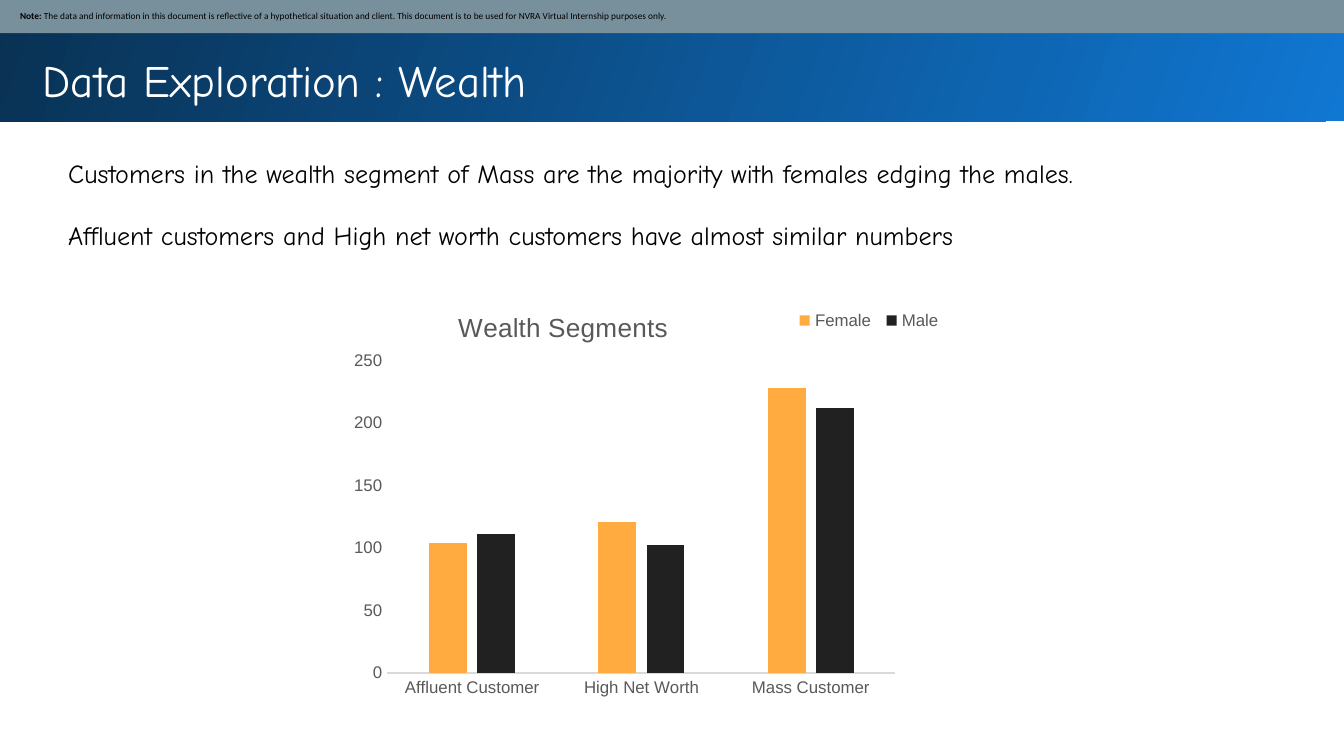
from dataclasses import dataclass

from lxml.etree import SubElement
from pptx import Presentation
from pptx.chart.data import CategoryChartData
from pptx.dml.color import RGBColor
from pptx.enum.chart import XL_CHART_TYPE, XL_LEGEND_POSITION, XL_TICK_MARK
from pptx.enum.shapes import MSO_SHAPE
from pptx.enum.text import MSO_ANCHOR, PP_ALIGN
from pptx.oxml.ns import qn
from pptx.util import Cm, Pt


@dataclass(frozen=True)
class Theme:
    white: str = "FFFFFF"
    black: str = "000000"
    bright_blue: str = "1077D2"
    dark_blue: str = "093153"
    slate: str = "78909C"
    gray: str = "595959"
    axis_gray: str = "D9D9D9"
    series: tuple = ("FFAB40", "212121")
    heading_font: str = "Comic Neue"
    note_font: str = "Calibri"
    chart_font: str = "Arial"
    heading_size: float = 24
    body_size: float = 14
    chart_title_size: float = 14
    label_size: float = 9
    note_size: float = 5


def apply(target, values):
    for name, value in values.items():
        setattr(target, name, value)


def set_font(font, name, size, color, bold=False):
    apply(font, {"name": name, "size": Pt(size), "bold": bold})
    font.color.rgb = RGBColor.from_string(color)


def set_layout(parent, index, inner=False, **fractions):
    """Place a chart part by fractions of the chart's width and height."""
    for old in parent.findall(qn("c:layout")):
        parent.remove(old)
    layout = SubElement(parent, qn("c:layout"))
    parent.insert(index, layout)
    manual = SubElement(layout, qn("c:manualLayout"))
    settings = {"layoutTarget": "inner"} if inner else {}
    settings.update(xMode="edge", yMode="edge", **fractions)
    for name, value in settings.items():
        SubElement(manual, qn(f"c:{name}")).set("val", str(value))


class SlideBuilder:
    def __init__(self, slide, theme):
        self.slide = slide
        self.theme = theme

    def band(self, box):
        shape = self.slide.shapes.add_shape(MSO_SHAPE.RECTANGLE, *map(Cm, box))
        shape.shadow.inherit = False
        shape.line.fill.background()
        return shape

    def gradient_band(self, box, colors, angle):
        fill = self.band(box).fill
        fill.gradient()
        fill.gradient_angle = angle
        for stop, color in zip(fill.gradient_stops, colors):
            stop.color.rgb = RGBColor.from_string(color)

    def note_band(self, box, label, text):
        shape = self.band(box)
        shape.fill.solid()
        shape.fill.fore_color.rgb = RGBColor.from_string(self.theme.slate)
        frame = shape.text_frame
        apply(frame, {
            "word_wrap": True, "vertical_anchor": MSO_ANCHOR.MIDDLE,
            "margin_left": Cm(0.41), "margin_right": Cm(0.13),
            "margin_top": Cm(0.13), "margin_bottom": Cm(0.13),
        })
        paragraph = frame.paragraphs[0]
        paragraph.alignment = PP_ALIGN.LEFT
        for content, bold in ((label, True), (text, False)):
            run = paragraph.add_run()
            run.text = content
            set_font(run.font, self.theme.note_font, self.theme.note_size,
                     self.theme.black, bold)

    def text(self, box, lines, size, color, margin_top, gap=0):
        frame = self.slide.shapes.add_textbox(*map(Cm, box)).text_frame
        apply(frame, {"word_wrap": True, "margin_top": Cm(margin_top)})
        for index, line in enumerate(lines):
            paragraph = frame.add_paragraph() if index else frame.paragraphs[0]
            paragraph.space_before = Pt(gap if index else 0)
            run = paragraph.add_run()
            run.text = line
            set_font(run.font, self.theme.heading_font, size, color)

    def column_chart(self, box, title, categories, series):
        theme = self.theme
        data = CategoryChartData()
        data.categories = categories
        for name, values in series.items():
            data.add_series(name, values)
        chart = self.slide.shapes.add_chart(
            XL_CHART_TYPE.COLUMN_CLUSTERED, *map(Cm, box), data).chart
        set_font(chart.font, theme.chart_font, theme.label_size, theme.gray)

        frame = chart.chart_title.text_frame
        frame.text = title
        set_font(frame.paragraphs[0].runs[0].font, theme.chart_font,
                 theme.chart_title_size, theme.gray)
        chart.has_legend = True
        apply(chart.legend, {"position": XL_LEGEND_POSITION.RIGHT,
                             "include_in_layout": False})

        plot = chart.plots[0]
        apply(plot, {"gap_width": 219, "overlap": -27, "vary_by_categories": False})
        for column, color in zip(plot.series, theme.series):
            column.format.fill.solid()
            column.format.fill.fore_color.rgb = RGBColor.from_string(color)

        ticks = {"major_tick_mark": XL_TICK_MARK.NONE,
                 "minor_tick_mark": XL_TICK_MARK.NONE,
                 "has_major_gridlines": False}
        scale = {"minimum_scale": 0, "maximum_scale": 250, "major_unit": 50}
        apply(chart.category_axis, ticks)
        apply(chart.value_axis, ticks | scale)
        chart.value_axis.format.line.fill.background()
        axis_line = chart.category_axis.format.line
        axis_line.width = Pt(0.75)
        axis_line.color.rgb = RGBColor.from_string(theme.axis_gray)

        plot_area = chart.element.find(".//" + qn("c:plotArea"))
        legend = chart.element.find(".//" + qn("c:legend"))
        title_element = chart.element.find(".//" + qn("c:title"))
        set_layout(title_element, 1, x=0.17, y=0.05)
        set_layout(legend, 1, x=0.68, y=0.05, w=0.24, h=0.07)
        set_layout(plot_area, 0, inner=True, x=0.07, y=0.18, w=0.77, h=0.74)


def main():
    theme = Theme()
    presentation = Presentation()
    apply(presentation, {"slide_width": Cm(25.4), "slide_height": Cm(14.29)})
    slide = presentation.slides.add_slide(presentation.slide_layouts[6])
    builder = SlideBuilder(slide, theme)

    builder.gradient_band((-0.05, -0.05, 25.53, 2.34),
                          (theme.bright_blue, theme.dark_blue), angle=160)
    builder.text((0.56, 0.74, 23.8, 2.11), ["Data Exploration : Wealth"],
                 theme.heading_size, theme.white, margin_top=0.25)
    builder.note_band(
        (-0.03, -0.03, 25.48, 0.66), "Note: ",
        "The data and information in this document is reflective of a "
        "hypothetical situation and client. This document is to be used for "
        "NVRA Virtual Internship purposes only.")
    builder.text(
        (1.04, 2.84, 23.32, 2.06),
        ["Customers in the wealth segment of Mass are the majority with "
         "females edging the males.",
         "Affluent customers and High net worth customers have almost "
         "similar numbers"],
        theme.body_size, theme.black, margin_top=0.13, gap=16.5)
    builder.column_chart(
        (6.45, 5.38, 12.47, 7.98), "Wealth Segments",
        ["Affluent Customer", "High Net Worth", "Mass Customer"],
        {"Female": (104, 121, 228), "Male": (111, 102, 212)})
    presentation.save("out.pptx")


if __name__ == "__main__":
    main()
